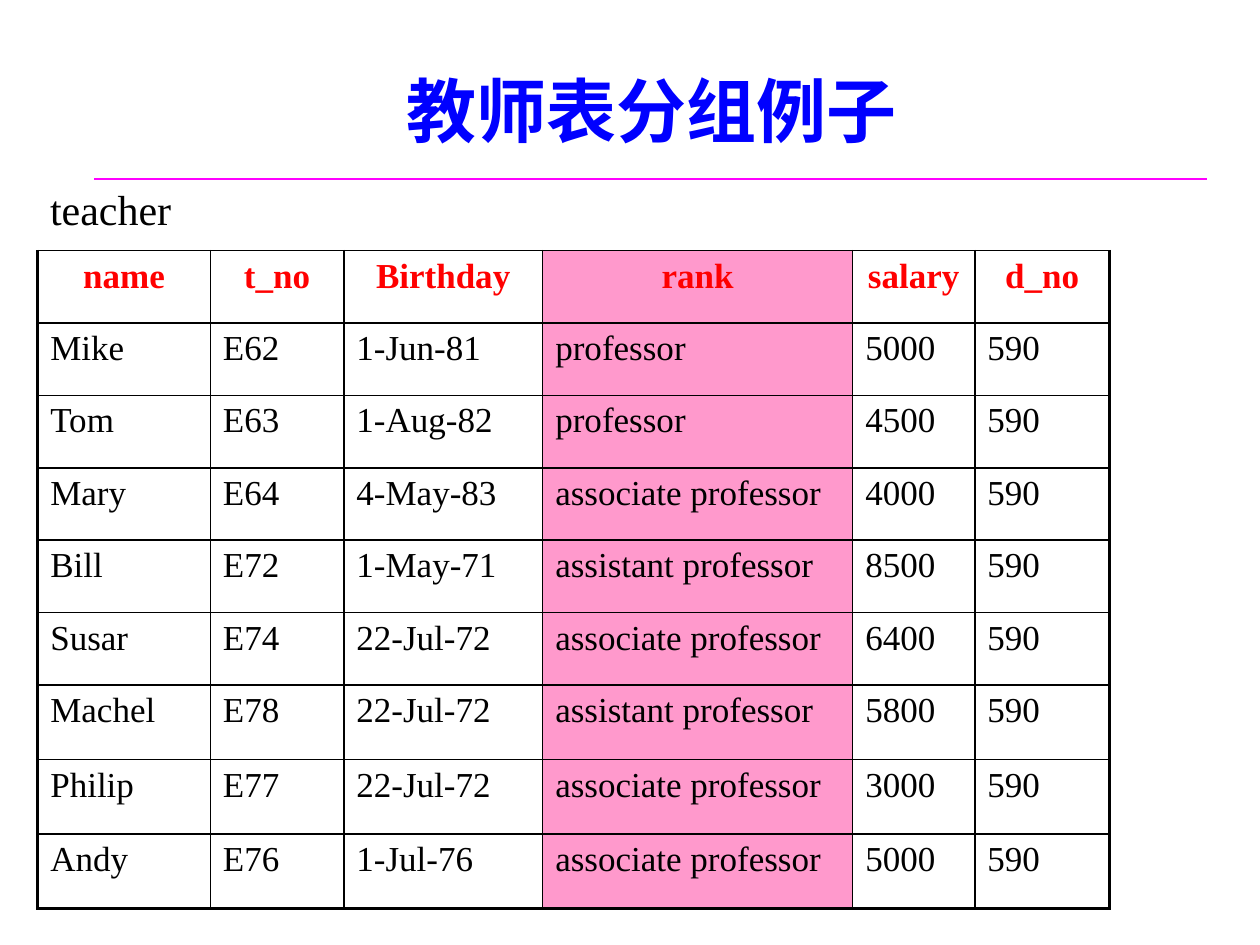
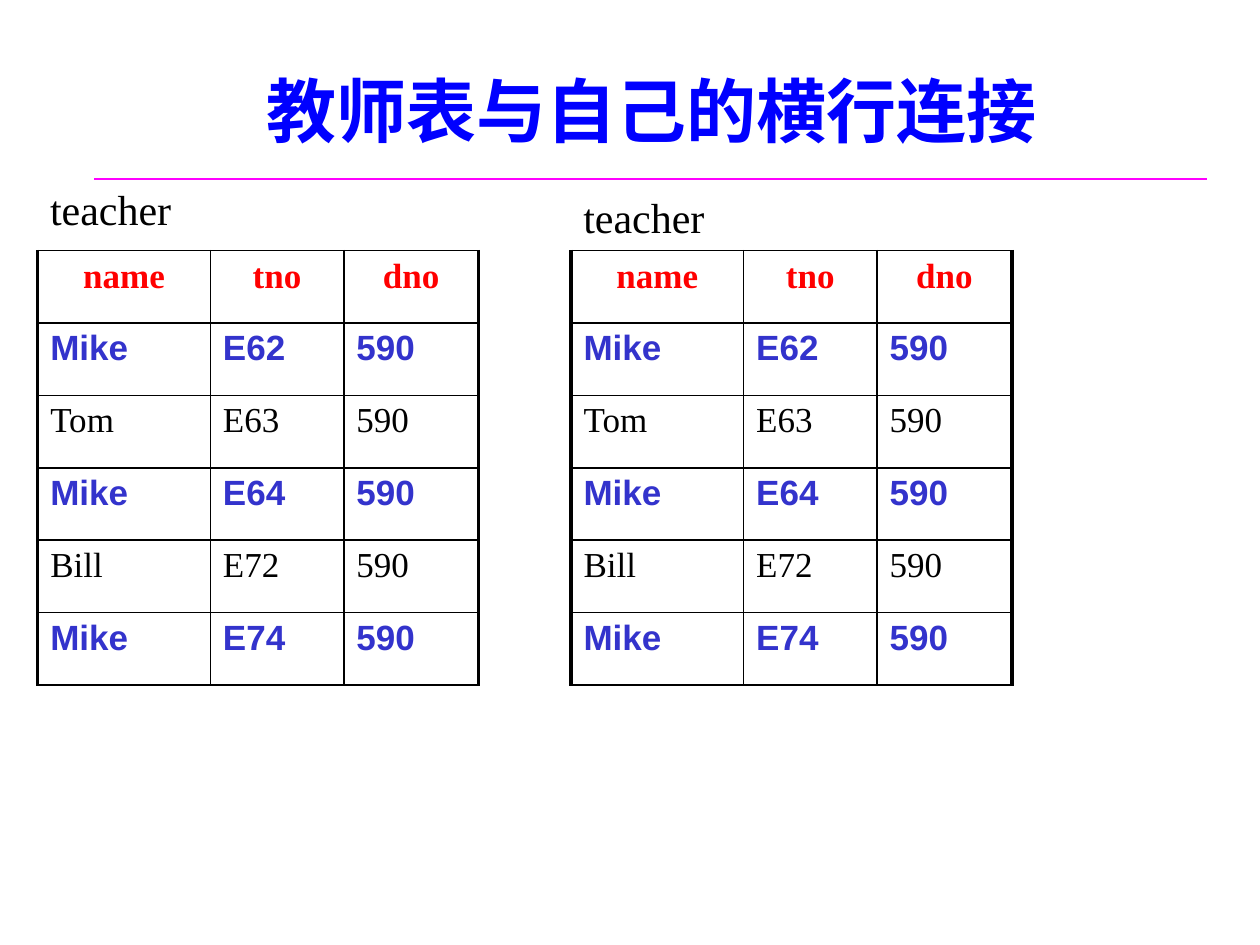
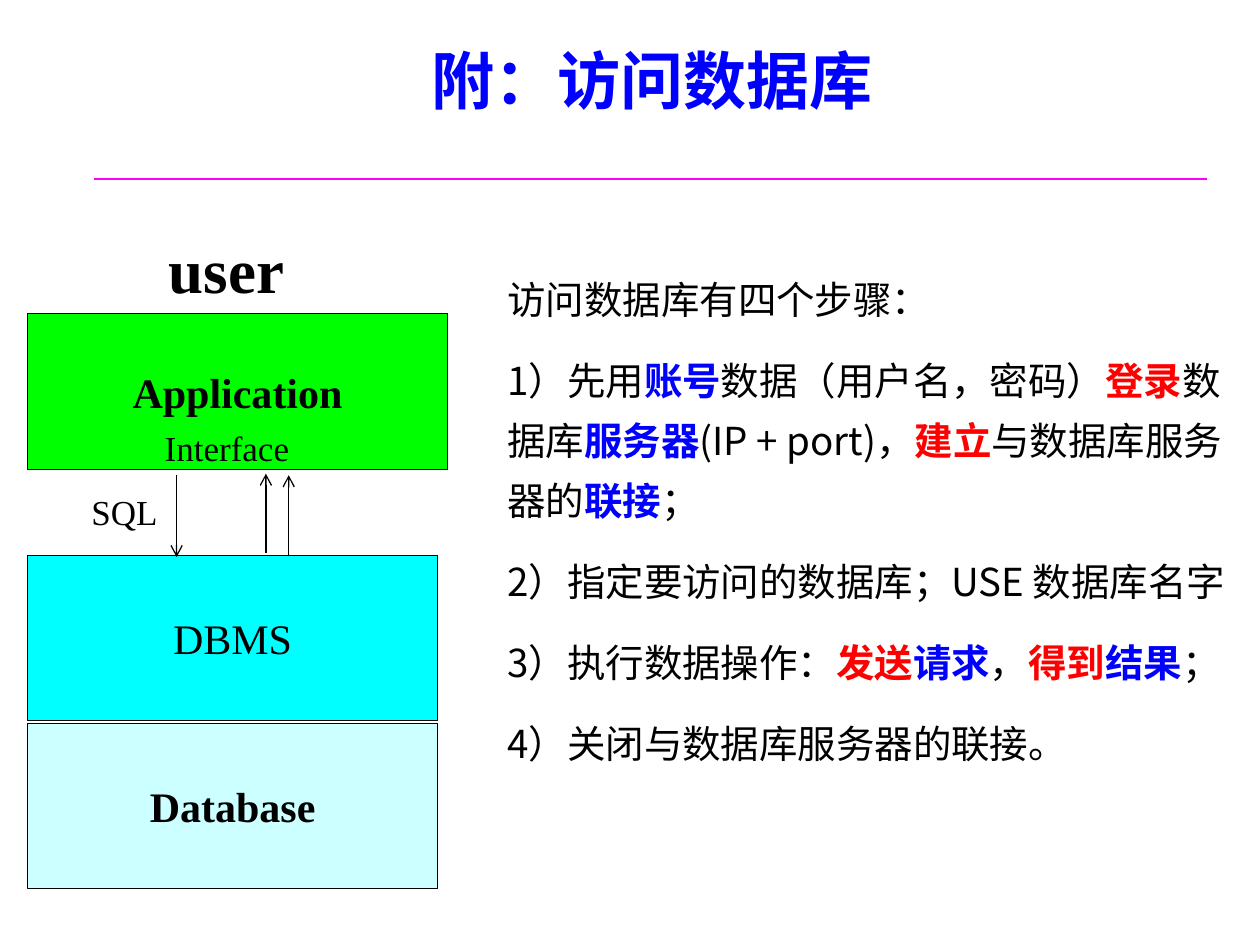
import pptx
import pptx.util
import pptx.dml.color
import pptx.enum.shapes
import pptx.enum.text
import pptx.oxml
import pptx.oxml.ns
from lxml import etree

Cm = pptx.util.Cm
Pt = pptx.util.Pt
ALIGN = pptx.enum.text.PP_ALIGN
MIDDLE = pptx.enum.text.MSO_ANCHOR.MIDDLE

COLORS = {
    "title": "0000FF",
    "rule": "FF00FF",
    "ink": "000000",
    "header": "FF0000",
    "action": "FF0000",
    "object": "0000FF",
    "match": "3333CC",
    "rank": "FF99CC",
    "application": "00FF00",
    "dbms": "00FFFF",
    "database": "CCFFFF",
}
SERIF, SANS, CJK = "Times New Roman", "Arial", "Noto Sans CJK SC"
ROW_HEIGHT, TALL_ROW_HEIGHT = 1.46, 1.5
TABLE_LEFT, TABLE_TOP = 0.76, 5.05

TEACHERS = [
    ["name", "t_no", "Birthday", "rank", "salary", "d_no"],
    ["Mike", "E62", "1-Jun-81", "professor", "5000", "590"],
    ["Tom", "E63", "1-Aug-82", "professor", "4500", "590"],
    ["Mary", "E64", "4-May-83", "associate professor", "4000", "590"],
    ["Bill", "E72", "1-May-71", "assistant professor", "8500", "590"],
    ["Susar", "E74", "22-Jul-72", "associate professor", "6400", "590"],
    ["Machel", "E78", "22-Jul-72", "assistant professor", "5800", "590"],
    ["Philip", "E77", "22-Jul-72", "associate professor", "3000", "590"],
    ["Andy", "E76", "1-Jul-76", "associate professor", "5000", "590"],
]
JOIN_ROWS = [
    ["name", "tno", "dno"],
    ["Mike", "E62", "590"],
    ["Tom", "E63", "590"],
    ["Mike", "E64", "590"],
    ["Bill", "E72", "590"],
    ["Mike", "E74", "590"],
]
STEPS = [
    [("访问数据库有四个步骤：", "ink")],
    [("1）先用", "ink"), ("账号", "object"), ("数据（用户名，密码）", "ink"),
     ("登录", "action"), ("数据库", "ink"), ("服务器", "object"),
     ("(IP + port)，", "ink"), ("建立", "action"), ("与数据库服务器的", "ink"),
     ("联接", "object"), ("；", "ink")],
    [("2）指定要访问的数据库；USE 数据库名字", "ink")],
    [("3）执行数据操作：", "ink"), ("发送", "action"), ("请求", "object"),
     ("，", "ink"), ("得到", "action"), ("结果", "object"), ("；", "ink")],
    [("4）关闭与数据库服务器的联接。", "ink")],
]


def rgb(key):
    return pptx.dml.color.RGBColor.from_string(COLORS[key])


def set_font(paragraph, size, name=SERIF, color="ink", bold=False):
    font = paragraph.font
    font.size, font.name, font.bold = Pt(size), name, bold
    font.color.rgb = rgb(color)
    properties = paragraph._p.pPr.find(pptx.oxml.ns.qn("a:defRPr"))
    etree.SubElement(properties, pptx.oxml.ns.qn("a:ea"), typeface=name)


def add_label(slide, text, left, top, width, height, size, bold=False, wrap=False):
    label = slide.shapes.add_textbox(Cm(left), Cm(top), Cm(width), Cm(height))
    frame = label.text_frame
    frame.word_wrap = wrap
    frame.auto_size = pptx.enum.text.MSO_AUTO_SIZE.SHAPE_TO_FIT_TEXT
    frame.text = text
    set_font(frame.paragraphs[0], size, bold=bold)
    return frame


def add_line(slide, start, end, color, width, arrow=False):
    line = slide.shapes.add_connector(
        pptx.enum.shapes.MSO_CONNECTOR.STRAIGHT, *map(Cm, start + end))
    line.line.color.rgb = rgb(color)
    line.line.width = Pt(width)
    if arrow:
        outline = line.line._get_or_add_ln()
        etree.SubElement(outline, pptx.oxml.ns.qn("a:tailEnd"), type="arrow")
    etree.SubElement(line._element.spPr, pptx.oxml.ns.qn("a:effectLst"))


def add_titled_slide(deck, title, top=0.61, size=40):
    slide = deck.slides.add_slide(deck.slide_layouts[6])
    add_line(slide, (1.9, 3.61), (24.33, 3.61), "rule", 1.5)
    heading = slide.shapes.add_textbox(Cm(2.34), Cm(top), Cm(21.59), Cm(3.18))
    frame = heading.text_frame
    frame.word_wrap = True
    frame.vertical_anchor = MIDDLE
    frame.text = title
    frame.paragraphs[0].alignment = ALIGN.CENTER
    set_font(frame.paragraphs[0], size, CJK, "title", True)
    return slide


def set_borders(cell, widths):
    properties = cell._tc.get_or_add_tcPr()
    for side, width in widths.items():
        properties.append(pptx.oxml.parse_xml(
            f'<a:ln{side} {pptx.oxml.ns.nsdecls("a")} w="{Pt(width)}">'
            f'<a:solidFill><a:srgbClr val="{COLORS["ink"]}"/></a:solidFill>'
            f'</a:ln{side}>'))


def add_grid(slide, rows, left, widths, heights, bottom=1, match=None, shaded=None):
    grid = slide.shapes.add_table(
        len(rows), len(widths), Cm(left), Cm(TABLE_TOP),
        Cm(sum(widths)), Cm(sum(heights))).table
    grid.first_row = grid.horz_banding = False
    for column, width in zip(grid.columns, widths):
        column.width = Cm(width)
    for row, height in zip(grid.rows, heights):
        row.height = Cm(height)
    for r, values in enumerate(rows):
        for c, value in enumerate(values):
            cell = grid.cell(r, c)
            cell.text = value
            paragraph = cell.text_frame.paragraphs[0]
            if r == 0:
                paragraph.alignment = ALIGN.CENTER
                set_font(paragraph, 20, color="header", bold=True)
            elif values[0] == match:
                set_font(paragraph, 20, SANS, "match", True)
            else:
                set_font(paragraph, 20)
            set_borders(cell, {
                "L": 2.25 if c == 0 else 1,
                "R": 2.25 if c == len(widths) - 1 else 1,
                "T": 1,
                "B": bottom if r == len(rows) - 1 else 1,
            })
            if c == shaded:
                cell.fill.solid()
                cell.fill.fore_color.rgb = rgb("rank")
            else:
                cell.fill.background()


def add_layer(slide, text, fill, top, width, height, bold=False):
    layer = slide.shapes.add_shape(
        pptx.enum.shapes.MSO_SHAPE.RECTANGLE, Cm(0.56), Cm(top), Cm(width), Cm(height))
    layer.shadow.inherit = False
    layer.fill.solid()
    layer.fill.fore_color.rgb = rgb(fill)
    layer.line.color.rgb = rgb("ink")
    layer.line.width = Pt(0.75)
    frame = layer.text_frame
    frame.vertical_anchor = MIDDLE
    frame.text = text
    frame.paragraphs[0].alignment = ALIGN.CENTER
    set_font(frame.paragraphs[0], 24, bold=bold)


def add_steps(slide):
    steps = slide.shapes.add_textbox(Cm(9.98), Cm(5.16), Cm(15.19), Cm(10.52))
    frame = steps.text_frame
    frame.word_wrap = True
    frame.auto_size = pptx.enum.text.MSO_AUTO_SIZE.SHAPE_TO_FIT_TEXT
    for index, parts in enumerate(STEPS):
        paragraph = frame.add_paragraph() if index else frame.paragraphs[0]
        paragraph.line_spacing = 1.3
        if index:
            paragraph.space_before = Pt(12)
        set_font(paragraph, 22, CJK)
        for text, role in parts:
            run = paragraph.add_run()
            run.text = text
            if role != "ink":
                run.font.bold = True
                run.font.color.rgb = rgb(role)


def build_grouping(deck):
    slide = add_titled_slide(deck, "教师表分组例子")
    add_grid(slide, TEACHERS, TABLE_LEFT, [3.48, 2.69, 4.01, 6.25, 2.46, 2.72],
             [ROW_HEIGHT] * 6 + [TALL_ROW_HEIGHT] * 3, bottom=2.25, shaded=3)
    add_label(slide, "teacher", TABLE_LEFT, 3.58, 2.95, 1.27, 24)


def build_self_join(deck):
    slide = add_titled_slide(deck, "教师表与自己的横行连接")
    for left, caption_top in ((TABLE_LEFT, 3.58), (11.51, 3.73)):
        add_grid(slide, JOIN_ROWS, left, [3.48, 2.69, 2.72],
                 [ROW_HEIGHT] * len(JOIN_ROWS), match="Mike")
        add_label(slide, "teacher", left, caption_top, 2.95, 1.27, 24)


def build_access(deck):
    slide = add_titled_slide(deck, "附：访问数据库", top=0, size=36)
    add_steps(slide)
    add_layer(slide, "DBMS", "dbms", 11.2, 8.26, 3.33)
    add_layer(slide, "Database", "database", 14.58, 8.26, 3.33, bold=True)
    add_layer(slide, "Application", "application", 6.32, 8.46, 3.15, bold=True)
    add_label(slide, "Interface", 3.07, 8.48, 3.02, 1.09, 20)
    add_label(slide, "user", 3.15, 4.52, 2.84, 1.8, 36, bold=True)
    request = add_label(slide, "SQL", 0.92, 9.88, 3.18, 0.94, 20, wrap=True)
    request.margin_left = request.margin_right = 0
    request.margin_top = request.margin_bottom = 0
    request.paragraphs[0].alignment = ALIGN.CENTER
    for x, start, end in ((3.56, 9.58, 11.23), (5.36, 11.15, 9.55), (5.82, 11.18, 9.58)):
        add_line(slide, (x, start), (x, end), "ink", 0.75, arrow=True)


def main():
    deck = pptx.Presentation()
    deck.slide_width, deck.slide_height = Cm(25.4), Cm(19.05)
    build_grouping(deck)
    build_self_join(deck)
    build_access(deck)
    deck.save("out.pptx")


if __name__ == "__main__":
    main()
